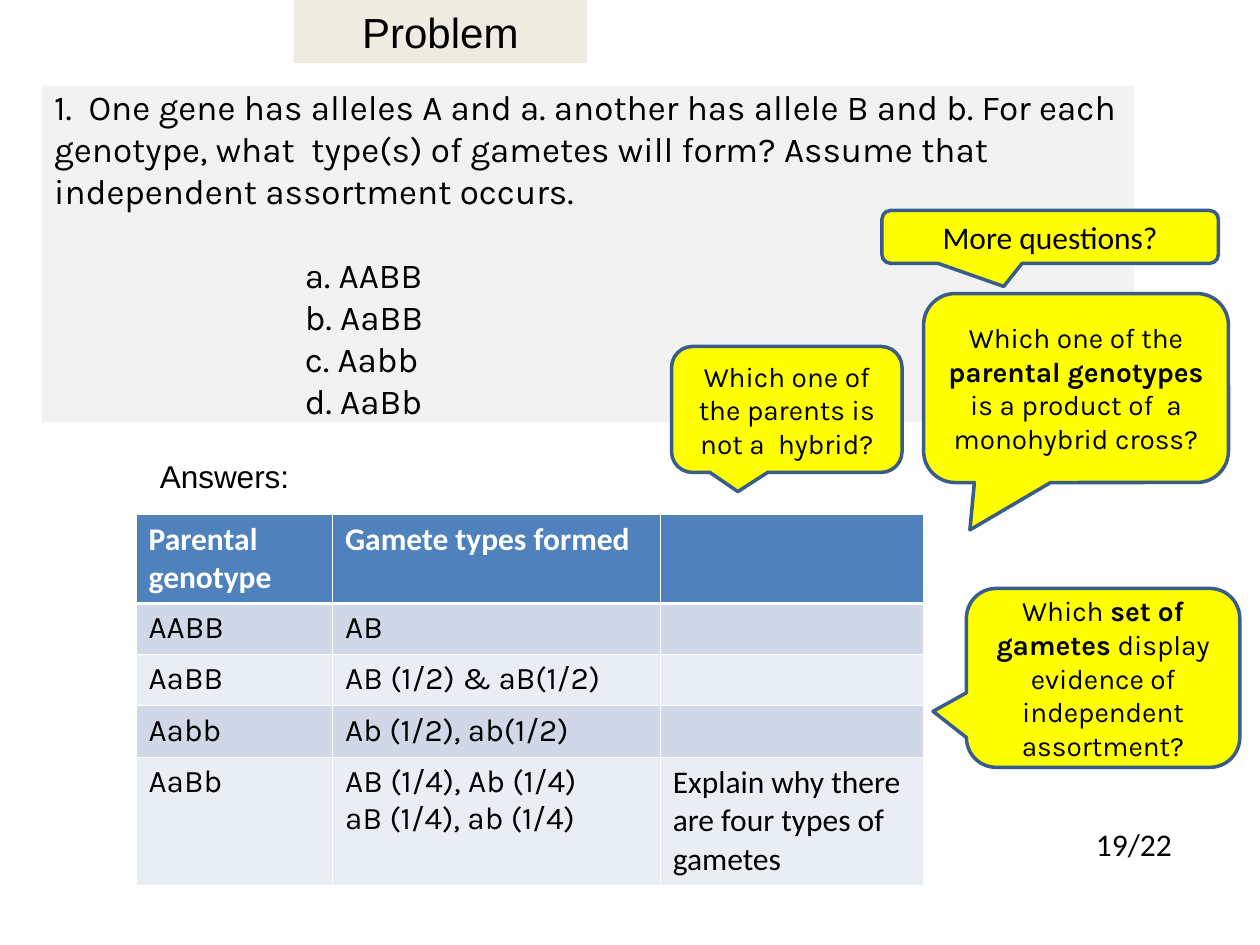
from lxml.etree import SubElement
from pptx import Presentation
from pptx.dml.color import RGBColor
from pptx.enum.shapes import MSO_SHAPE
from pptx.enum.text import MSO_ANCHOR, MSO_AUTO_SIZE, PP_ALIGN
from pptx.oxml import parse_xml
from pptx.oxml.ns import nsdecls, qn
from pptx.util import Inches, Pt

QUESTION = (
    "1.  One gene has alleles A and a. another has allele B and b. "
    "For each genotype, what  type(s) of gametes will form? "
    "Assume that independent assortment occurs."
)
GENOTYPES = ["AABB", "AaBB", "Aabb", "AaBb"]
GAMETES = ["AB", "AB (1/2) & aB(1/2)", "Ab (1/2), ab(1/2)",
           "AB (1/4), Ab (1/4)\naB (1/4), ab (1/4)"]
EXPLAIN = "Explain why there are four types of gametes"
CALLOUTS = [
    ((5.33, 2.75, 1.83, 1), (-0.212, 0.652),
     "Which one of the parents is not a  hybrid?", 16, "Karla"),
    ((7.33, 2.33, 2.42, 1.5), (-0.348, 0.751),
     "Which one of the *parental genotypes *is a product of  a monohybrid cross?",
     16, "Karla"),
    ((7.67, 4.67, 2.17, 1.42), (-0.622, 0.187),
     "Which *set of gametes* display evidence of independent assortment?",
     16, "Karla"),
    ((7, 1.67, 2.67, 0.42), (-0.138, 0.936), "More questions?", 18, "Calibri"),
]


def color(value):
    """Turn a hex string into a colour."""
    return RGBColor.from_string(value)


def paint(target, value):
    """Give a shape or a cell a solid fill."""
    target.fill.solid()
    target.fill.fore_color.rgb = color(value)


def place(shape, area):
    """Move and size a shape by left, top, width and height in inches."""
    shape.left, shape.top, shape.width, shape.height = map(Inches, area)


def write(frame, text, size=18, font="Calibri", ink="000000", bold=False,
          align=PP_ALIGN.LEFT):
    """Write one paragraph per line, with bold toggled by asterisks."""
    for index, line in enumerate(text.split("\n")):
        para = frame.add_paragraph() if index else frame.paragraphs[0]
        para.alignment = align
        para.line_spacing = 1.0
        para.space_before = Pt(0)
        for order, part in enumerate(line.split("*")):
            span = para.add_run()
            span.text = part
            span.font.size = Pt(size)
            span.font.name = font
            span.font.bold = bold or order % 2 == 1
            span.font.color.rgb = color(ink)


def set_title(page):
    """Fill the title placeholder."""
    title = page.shapes.title
    place(title, (2.33, 0, 2.33, 0.5))
    paint(title, "EEECE1")
    title.text_frame.auto_size = MSO_AUTO_SIZE.NONE
    write(title.text_frame, "Problem", size=24, font="Arial",
          align=PP_ALIGN.CENTER)


def set_problem(page):
    """Fill the body placeholder with the question and its indented list."""
    body = page.placeholders[1]
    place(body, (0.33, 0.68, 8.67, 2.67))
    paint(body, "F2F2F2")
    frame = body.text_frame
    frame.auto_size = MSO_AUTO_SIZE.NONE
    frame.vertical_anchor = MSO_ANCHOR.MIDDLE
    frame.margin_top = frame.margin_bottom = 0
    items = [f"{letter}. {name}" for letter, name in zip("abcd", GENOTYPES)]
    write(frame, "\n".join([QUESTION] + items), size=20, font="Karla")
    for index, para in enumerate(frame.paragraphs):
        properties = para._p.get_or_add_pPr()
        properties.set("marL", str(Inches(1.99) if index else 0))
        properties.set("indent", "0")
        SubElement(properties, qn("a:buNone"))
    frame.paragraphs[1].space_before = Pt(24)


def add_label(page, area, text, font):
    """Add a one-line text box."""
    box = page.shapes.add_textbox(*map(Inches, area))
    box.text_frame.word_wrap = False
    write(box.text_frame, text, font=font)


def add_callout(page, area, tip, text, size, font):
    """Add a yellow speech bubble whose tail ends at the tip."""
    bubble = page.shapes.add_shape(MSO_SHAPE.ROUNDED_RECTANGULAR_CALLOUT,
                                   *map(Inches, area))
    bubble.adjustments[0], bubble.adjustments[1] = tip
    bubble.shadow.inherit = False
    paint(bubble, "FFFF00")
    bubble.line.color.rgb = color("385D8A")
    bubble.line.width = Pt(2)
    bubble.text_frame.word_wrap = True
    bubble.text_frame.vertical_anchor = MSO_ANCHOR.MIDDLE
    write(bubble.text_frame, text, size=size, font=font, align=PP_ALIGN.CENTER)


def set_borders(cell, top, bottom):
    """Draw white cell borders, with top and bottom widths in points."""
    properties = cell._tc.get_or_add_tcPr()
    for side, width in (("L", 0.45), ("R", 0.45), ("T", top), ("B", bottom)):
        properties.append(parse_xml(
            f'<a:ln{side} {nsdecls("a")} w="{Pt(width)}"><a:solidFill>'
            f'<a:srgbClr val="FFFFFF"/></a:solidFill></a:ln{side}>'))


def add_answers(page):
    """Add the table of genotypes and gametes."""
    rows = [("Parental genotype", "Gamete types formed", "")]
    rows += zip(GENOTYPES, GAMETES, ["", "", "", EXPLAIN])
    area = map(Inches, (1.08, 4.08, 6.25, 2.9))
    table = page.shapes.add_table(len(rows), 3, *area).table
    for column, width in zip(table.columns, (1.56, 2.6, 2.09)):
        column.width = Inches(width)
    for row, height in zip(table.rows, (0.7, 0.4, 0.4, 0.4, 1)):
        row.height = Inches(height)
    for r, texts in enumerate(rows):
        fill = ("E9EDF4", "D0D8E8")[r % 2] if r else "4F81BD"
        for c, text in enumerate(texts):
            cell = table.cell(r, c)
            set_borders(cell, top=1.47 if r == 1 else 0.45,
                        bottom=0.45 if r else 1.47)
            paint(cell, fill)
            if text:
                write(cell.text_frame, text, bold=r == 0,
                      font="Karla" if r and c < 2 else "Calibri",
                      ink="000000" if r else "FFFFFF")


def main():
    """Build the slide and save it."""
    deck = Presentation()
    deck.slide_width, deck.slide_height = Inches(10), Inches(7.5)
    page = deck.slides.add_slide(deck.slide_layouts[1])
    set_title(page)
    set_problem(page)
    add_answers(page)
    add_label(page, (8.6, 6.5, 0.8, 0.4), "19/22", "Calibri")
    add_label(page, (1.17, 3.58, 1.3, 0.4), "Answers:", "Arial")
    for callout in CALLOUTS:
        add_callout(page, *callout)
    deck.save("out.pptx")


if __name__ == "__main__":
    main()
